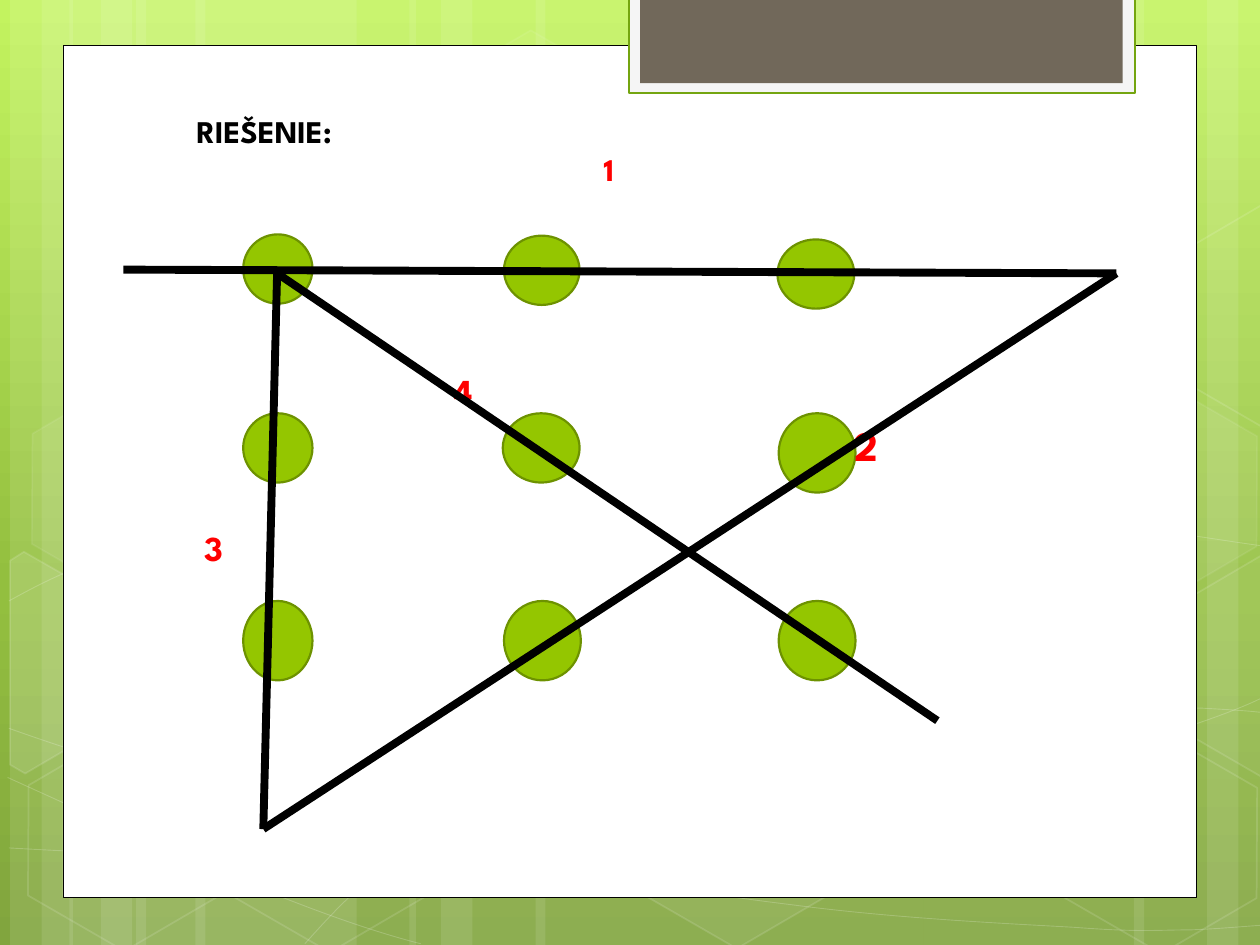
import copy

import lxml.etree
import pptx
import pptx.dml.color
import pptx.enum.shapes
import pptx.enum.text
import pptx.oxml.ns
import pptx.util

THEME = {
    "font": "League Spartan",
    "sky": [(0, "C3F35F"), (0.62, "93BF3F"), (1, "81A53E")],
    "white": "FFFFFF", "black": "000000", "red": "FF0000",
    "tab": "71685A", "tab_edge": "F5F5F5", "tab_line": "74A510",
    "dot": "94C600", "dot_line": "6D9200",
    "title": 18, "label": 20, "big": 24,
}
RGB = pptx.dml.color.RGBColor.from_string
QN = pptx.oxml.ns.qn
SHAPE = pptx.enum.shapes.MSO_SHAPE

prs = pptx.Presentation()
prs.slide_width, prs.slide_height = pptx.util.Inches(10), pptx.util.Inches(7.5)
CELL = prs.slide_width / 10  # square grid: 10 columns by 7.5 rows
s = prs.slides.add_slide(prs.slide_layouts[1])


def cells(*values):
    return [round(v * CELL) for v in values]


def paint(sp, fill=None, alpha=100, line=None, width=1, line_alpha=100):
    """Format fill and outline; alpha values are percentages."""
    sp.shadow.inherit = False
    for part, color, opacity in ((sp.fill, fill, alpha), (sp.line.fill, line, line_alpha)):
        if color is None:
            part.background()
            continue
        part.solid()
        part.fore_color.rgb = RGB(color)
        if opacity < 100:
            node = part._xPr.find(QN("a:solidFill"))[0]
            lxml.etree.SubElement(node, QN("a:alpha")).set("val", str(opacity * 1000))
    if line:
        sp.line.width = pptx.util.Pt(width)


# Background gradient
bg = s.background.fill
bg.gradient()
bg.gradient_angle = 270
first = bg.gradient_stops[0]._gs
first.addnext(copy.deepcopy(first))
for stop, (position, color) in zip(bg.gradient_stops, THEME["sky"]):
    stop.position = position
    stop.color.rgb = RGB(color)

# Translucent vertical stripes: left, width
for x, w in [(1.08, 1.75), (0.08, 0.5), (0.33, 0.83), (1.55, 1.75), (0.55, 0.5), (0.8, 0.83),
             (7.33, 1.75), (9.58, 0.5), (9, 0.83), (4.25, 3.08), (3.25, 0.5), (3.5, 0.83)]:
    sp = s.shapes.add_shape(SHAPE.RECTANGLE, *cells(x, 0, w, 7.5))
    paint(sp, THEME["white"], 10)

# Thin waves: a start point, then three Bezier points per segment
waves = [
    [(0.07, 6.73), (0.61, 6.76), (1.15, 6.79), (1.9, 6.78), (2.65, 6.77), (3.58, 6.75),
     (4.58, 6.65), (5.58, 6.55), (7, 6.36), (7.92, 6.17), (8.83, 5.98), (9.77, 5.68), (10.07, 5.51)],
    [(0.07, 4.77), (0.36, 4.61), (0.65, 4.46), (1.21, 4.31), (1.78, 4.16), (2.59, 3.94),
     (3.47, 3.87), (4.36, 3.8), (5.44, 3.79), (6.54, 3.87), (7.64, 3.95), (9.47, 4.26), (10.07, 4.34)],
    [(0.06, 6.17), (1.27, 6.72), (2.47, 7.27), (3.34, 7.49)],
    [(0.07, 5.78), (0.38, 5.89), (0.7, 6), (1.28, 6.16), (1.86, 6.31), (2.73, 6.56), (3.57, 6.73),
     (4.4, 6.9), (5.45, 7.08), (6.28, 7.18), (7.11, 7.29), (8, 7.33), (8.53, 7.36),
     (9.05, 7.4), (9.19, 7.38), (9.45, 7.38), (9.71, 7.37), (9.89, 7.35), (10.07, 7.34)],
    [(2.42, 7.49), (2.6, 7.29), (2.78, 7.09), (3.02, 6.91), (3.26, 6.73), (3.6, 6.53), (3.88, 6.39),
     (4.16, 6.25), (4.33, 6.19), (4.7, 6.09), (5.06, 5.99), (5.73, 5.85), (6.08, 5.78),
     (6.44, 5.71), (6.49, 5.71), (6.8, 5.69), (7.11, 5.66), (7.6, 5.63), (7.94, 5.62),
     (8.29, 5.61), (8.86, 5.62), (8.86, 5.62), (9.08, 5.62), (9.3, 5.62), (9.53, 5.62),
     (9.71, 5.63), (9.88, 5.64), (9.97, 5.65), (10.06, 5.66), (10.03, 5.65), (10.06, 5.66)],
]
for wave in waves:
    builder = s.shapes.build_freeform(*cells(*wave[0]))
    builder.add_line_segments([cells(*p) for p in wave[1:]], close=False)
    sp = builder.convert_to_shape()
    # Turn every three straight steps into one curve
    steps = list(sp._element.iter(QN("a:lnTo")))
    for i in range(0, len(steps), 3):
        curve = lxml.etree.Element(QN("a:cubicBezTo"))
        steps[i].addprevious(curve)
        for step in steps[i:i + 3]:
            curve.append(step[0])
            step.getparent().remove(step)
    paint(sp, line=THEME["white"], width=0.5, line_alpha=20)

# Tilted hexagons: left, top, fill opacity, outline opacity
for x, y, alpha, edge in [(3.34, 0.36, 4, 8), (4.97, 5.89, 6, 12), (0.11, 5.91, 0, 12),
                          (0.14, 3.12, 7, 8), (1.74, 5.92, 0, 12), (7.53, 4.53, 10, 12),
                          (8.34, 5.93, 0, 12), (8.34, 3.14, 7, 8)]:
    sp = s.shapes.add_shape(SHAPE.HEXAGON, *cells(x, y, 1.75, 1.52))
    sp.adjustments[0] = 0.285
    sp.rotation = 30
    paint(sp, THEME["white"] if alpha else None, alpha, THEME["white"], 1, edge)

# Hexagons cut off by the slide edges: fill opacity, corners
for alpha, corners in [
    (10, [(0.08, 4.45), (0.19, 4.38), (0.96, 4.82), (0.95, 5.7), (0.2, 6.14), (0.08, 6.07)]),
    (4, [(9.26, 4.85), (10.01, 4.41), (10.09, 4.46), (10.09, 6.13), (10.02, 6.17), (9.26, 5.73)]),
    (0, [(9.26, 2.07), (10.01, 1.63), (10.1, 1.68), (10.09, 3.35), (10.02, 3.39), (9.26, 2.95)]),
]:
    builder = s.shapes.build_freeform(*cells(*corners[0]))
    builder.add_line_segments([cells(*c) for c in corners[1:]], close=True)
    paint(builder.convert_to_shape(), THEME["white"] if alpha else None, alpha,
          THEME["white"], 1, 12)

# White page and the tab at its top
for box, fill, line, width in [
    ((0.5, 0.36, 9, 6.76), "white", "black", 0.5),
    ((4.99, -0.02, 4.02, 0.76), "tab_edge", "tab_line", 1.25),
    ((5.08, -0.02, 3.83, 0.68), "tab", None, 0),
]:
    sp = s.shapes.add_shape(SHAPE.RECTANGLE, *cells(*box))
    paint(sp, THEME[fill], line=THEME.get(line), width=width)

# Nine dots, three by three, some of them slightly off the grid
odd_dots = {(0, 1): (4, 1.87, 0.6, 0.55), (0, 2): (6.17, 1.9, 0.61, 0.55),
            (1, 1): (3.99, 3.28, 0.61, 0.55), (1, 2): (6.18, 3.28, 0.61, 0.63)}
for row, (top, h) in enumerate([(1.86, 0.55), (3.28, 0.55), (4.77, 0.63)]):
    for col, (left, w) in enumerate([(1.93, 0.55), (4, 0.61), (6.18, 0.61)]):
        box = odd_dots.get((row, col), (left, top, w, h))
        sp = s.shapes.add_shape(SHAPE.OVAL, *cells(*box))
        paint(sp, THEME["dot"], line=THEME["dot_line"], width=1.25)

# Title and line numbers: text, indent in cells, size, colour, space before
title, body = s.placeholders
for sp, box, anchor, lines in [
    (title, (1.46, 1.07, 7.26, 0.47), "BOTTOM",
     [("RIEŠENIE:", 0, "title", "black", 0), ("1", 3.23, "title", "red", 0)]),
    (body, (1.38, 2.88, 7.26, 3.45), "TOP",
     [("4", 2.13, "label", "red", 0), ("2", 5.3, "big", "red", 5),
      ("3", 0.14, "label", "red", 32)]),
]:
    s.shapes._spTree.append(sp._element)  # bring in front of the page
    sp.left, sp.top, sp.width, sp.height = cells(*box)
    tf = sp.text_frame
    for name, value in {"word_wrap": True, "auto_size": pptx.enum.text.MSO_AUTO_SIZE.NONE,
                        "vertical_anchor": getattr(pptx.enum.text.MSO_ANCHOR, anchor)}.items():
        setattr(tf, name, value)
    for i, (text, indent, size, color, before) in enumerate(lines):
        p = tf.add_paragraph() if i else tf.paragraphs[0]
        p.alignment = pptx.enum.text.PP_ALIGN.LEFT
        p.space_before = pptx.util.Pt(before)
        pPr = p._p.get_or_add_pPr()
        pPr.set("marL", str(cells(indent)[0]))
        pPr.set("indent", "0")
        lxml.etree.SubElement(pPr, QN("a:buNone"))
        r = p.add_run()
        r.text = text
        for name, value in {"name": THEME["font"], "size": pptx.util.Pt(THEME[size]),
                            "bold": True}.items():
            setattr(r.font, name, value)
        r.font.color.rgb = RGB(THEME[color])

# The four strokes of the solution
for stroke in [(0.98, 2.14, 8.86, 2.17), (8.86, 2.17, 2.09, 6.58),
               (2.09, 6.58, 2.2, 2.14), (2.2, 2.17, 7.44, 5.72)]:
    line = s.shapes.add_connector(pptx.enum.shapes.MSO_CONNECTOR.STRAIGHT, *cells(*stroke))
    line.line.color.rgb = RGB(THEME["black"])
    line.line.width = pptx.util.Pt(4.5)
    lxml.etree.SubElement(line._element.spPr, QN("a:effectLst"))

prs.save("out.pptx")
